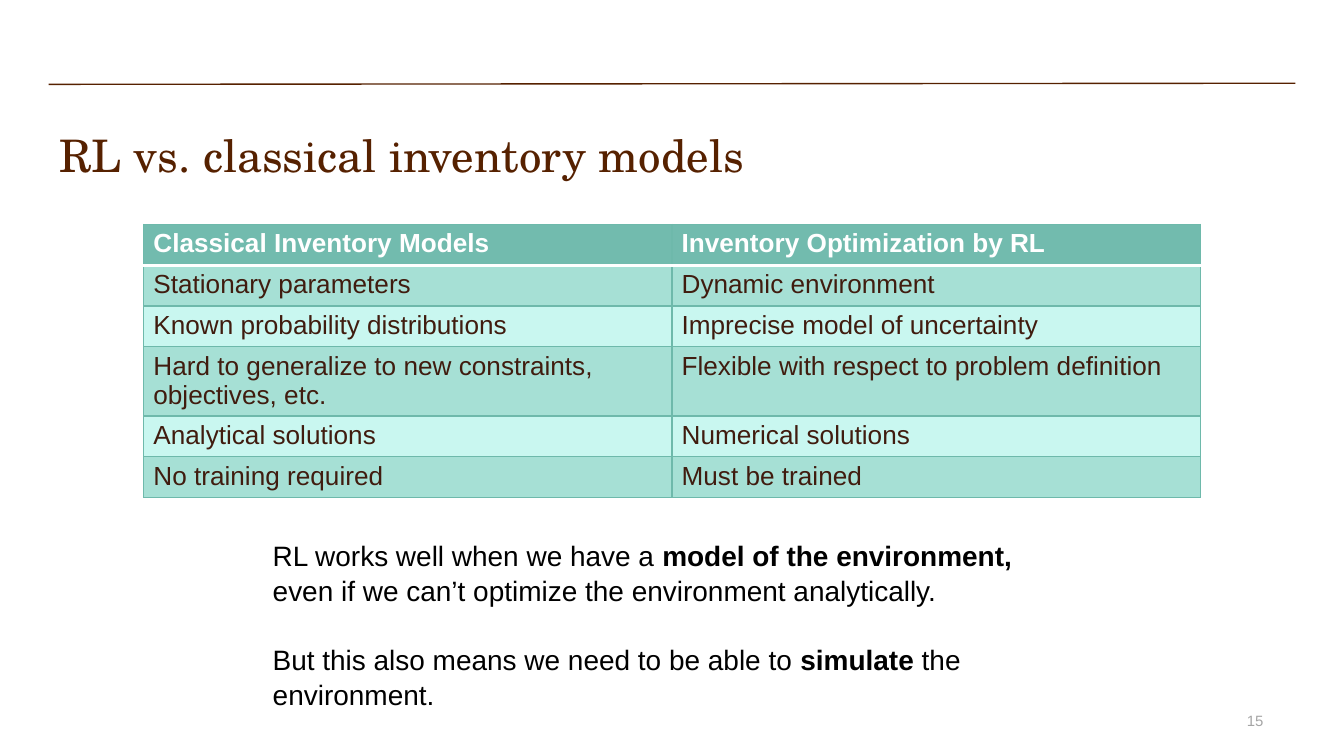
from lxml import etree
from pptx import Presentation
from pptx.dml.color import RGBColor
from pptx.enum import shapes, text
from pptx.oxml import ns
from pptx.util import Pt

BROWN, TEAL, BORDER, WHITE = "562100", "72BBAE", "6EB9AB", "FFFFFF"
BANDS = ["A6E0D5", "C9F7F0"]

TITLE = "RL vs. classical inventory models"
COMPARISON = [
    ("Classical Inventory Models", "Inventory Optimization by RL"),
    ("Stationary parameters", "Dynamic environment"),
    ("Known probability distributions", "Imprecise model of uncertainty"),
    ("Hard to generalize to new constraints, objectives, etc.",
     "Flexible with respect to problem definition"),
    ("Analytical solutions", "Numerical solutions"),
    ("No training required", "Must be trained"),
]
# Each paragraph is a list of (text, bold) runs
TAKEAWAYS = [
    [("RL works well when we have a ", False),
     ("model of the environment,", True),
     (" even if we can’t optimize the environment analytically.", False)],
    [("But this also means we need to be able to ", False),
     ("simulate", True),
     (" the environment.", False)],
]
PAGE_NUMBER = "15"
ROW_HEIGHT, TALL_ROW_HEIGHT, TALL_ROW = 21.9, 37, 3
COLUMN_WIDTH = 283


def color(value):
    return RGBColor.from_string(value)


def write(frame, paragraphs, size, fill, font="Arial", align=text.PP_ALIGN.LEFT,
          anchor=text.MSO_ANCHOR.TOP, insets=(7.2, 3.6), gap=0, spacing=1.0):
    """Fill a text frame with paragraphs of (text, bold) runs."""
    frame.word_wrap = True
    frame.auto_size = text.MSO_AUTO_SIZE.NONE
    frame.vertical_anchor = anchor
    frame.margin_left = frame.margin_right = Pt(insets[0])
    frame.margin_top = frame.margin_bottom = Pt(insets[1])
    for index, runs in enumerate(paragraphs):
        paragraph = frame.add_paragraph() if index else frame.paragraphs[0]
        paragraph.alignment = align
        paragraph.line_spacing = spacing
        paragraph.space_before = Pt(gap if index else 0)
        for content, bold in runs:
            run = paragraph.add_run()
            run.text = content
            run.font.name, run.font.size, run.font.bold = font, Pt(size), bold
            run.font.color.rgb = color(fill)


def set_border(cell, side, line_color, width):
    properties = cell._tc.get_or_add_tcPr()
    line = etree.SubElement(properties, ns.qn("a:ln" + side), w=str(Pt(width)))
    solid = etree.SubElement(line, ns.qn("a:solidFill"))
    etree.SubElement(solid, ns.qn("a:srgbClr"), val=line_color)


def add_rule(slide):
    rule = slide.shapes.add_connector(
        shapes.MSO_CONNECTOR.STRAIGHT, Pt(26), Pt(45.2), Pt(694), Pt(44.6))
    rule.line.color.rgb = color(BROWN)
    rule.line.width = Pt(0.75)
    etree.SubElement(rule._element.spPr, ns.qn("a:effectLst"))


def add_comparison(slide):
    heights = [TALL_ROW_HEIGHT if row == TALL_ROW else ROW_HEIGHT
               for row in range(len(COMPARISON))]
    table = slide.shapes.add_table(
        len(COMPARISON), 2, Pt(77), Pt(120.2),
        Pt(2 * COLUMN_WIDTH), Pt(sum(heights))).table
    for column in table.columns:
        column.width = Pt(COLUMN_WIDTH)
    for row, labels in enumerate(COMPARISON):
        table.rows[row].height = Pt(heights[row])
        header = row == 0
        for column, label in enumerate(labels):
            cell = table.cell(row, column)
            write(cell.text_frame, [[(label, header)]], 14,
                  WHITE if header else "401C0F")
            cell.margin_left = cell.margin_right = Pt(5.2)
            cell.margin_top = cell.margin_bottom = Pt(2.6)
            cell.vertical_anchor = text.MSO_ANCHOR.TOP
            for side in "LRTB":
                under_header = (row, side) in ((0, "B"), (1, "T"))
                set_border(cell, side, *((WHITE, 2) if under_header else (BORDER, 0.75)))
            cell.fill.solid()
            cell.fill.fore_color.rgb = color(TEAL if header else BANDS[(row - 1) % 2])


def main():
    presentation = Presentation()
    presentation.slide_width, presentation.slide_height = Pt(720), Pt(405)
    slide = presentation.slides.add_slide(presentation.slide_layouts[5])

    add_rule(slide)
    title = slide.shapes.title
    title.left, title.top, title.width, title.height = Pt(24.5), Pt(61.2), Pt(419), Pt(45.4)
    write(title.text_frame, [[(TITLE, False)]], 24, BROWN,
          font="TeX Gyre Schola", insets=(7.2, 7.2))

    add_comparison(slide)
    takeaways = slide.shapes.add_textbox(Pt(139), Pt(284.4), Pt(442), Pt(98))
    write(takeaways.text_frame, TAKEAWAYS, 15, "000000", gap=18, spacing=1.04)
    number = slide.shapes.add_textbox(Pt(516.2), Pt(375.2), Pt(167.8), Pt(21.6))
    write(number.text_frame, [[(PAGE_NUMBER, False)]], 8, "A5A5A5",
          align=text.PP_ALIGN.RIGHT, anchor=text.MSO_ANCHOR.MIDDLE)

    presentation.save("out.pptx")


if __name__ == "__main__":
    main()
